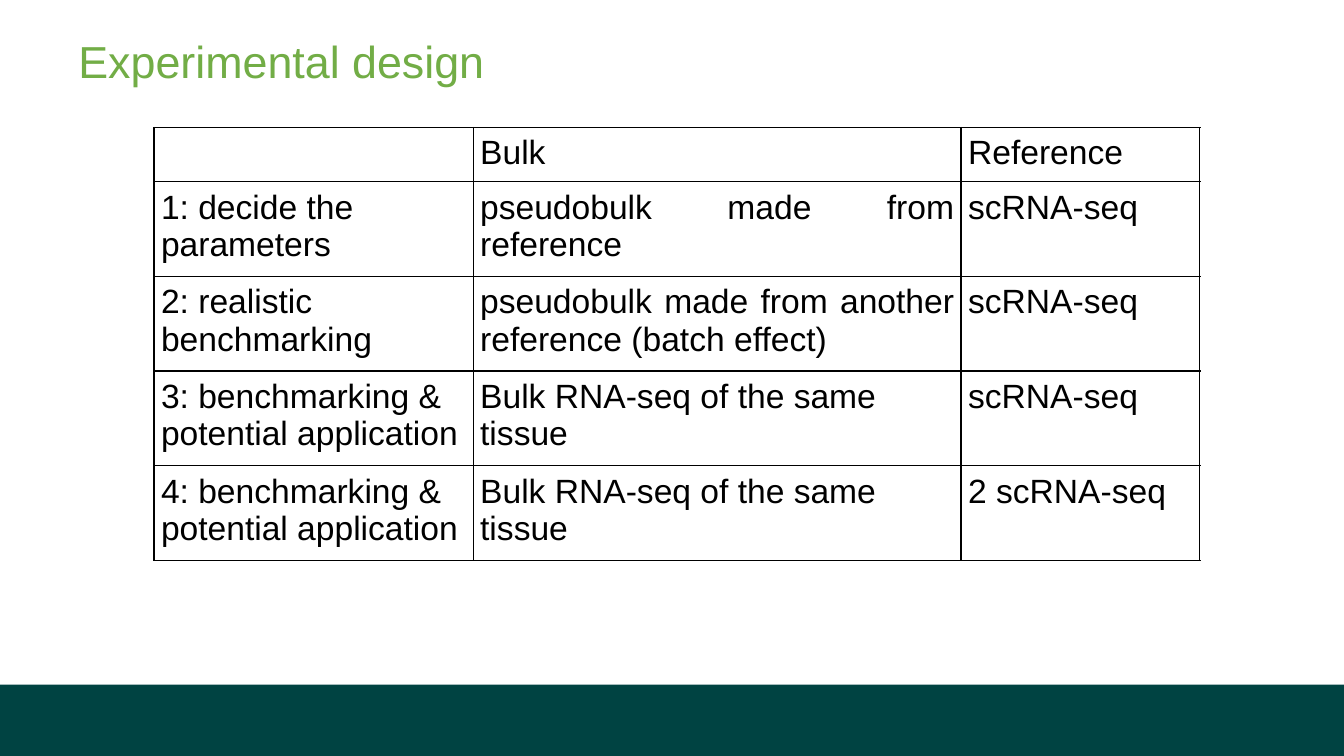
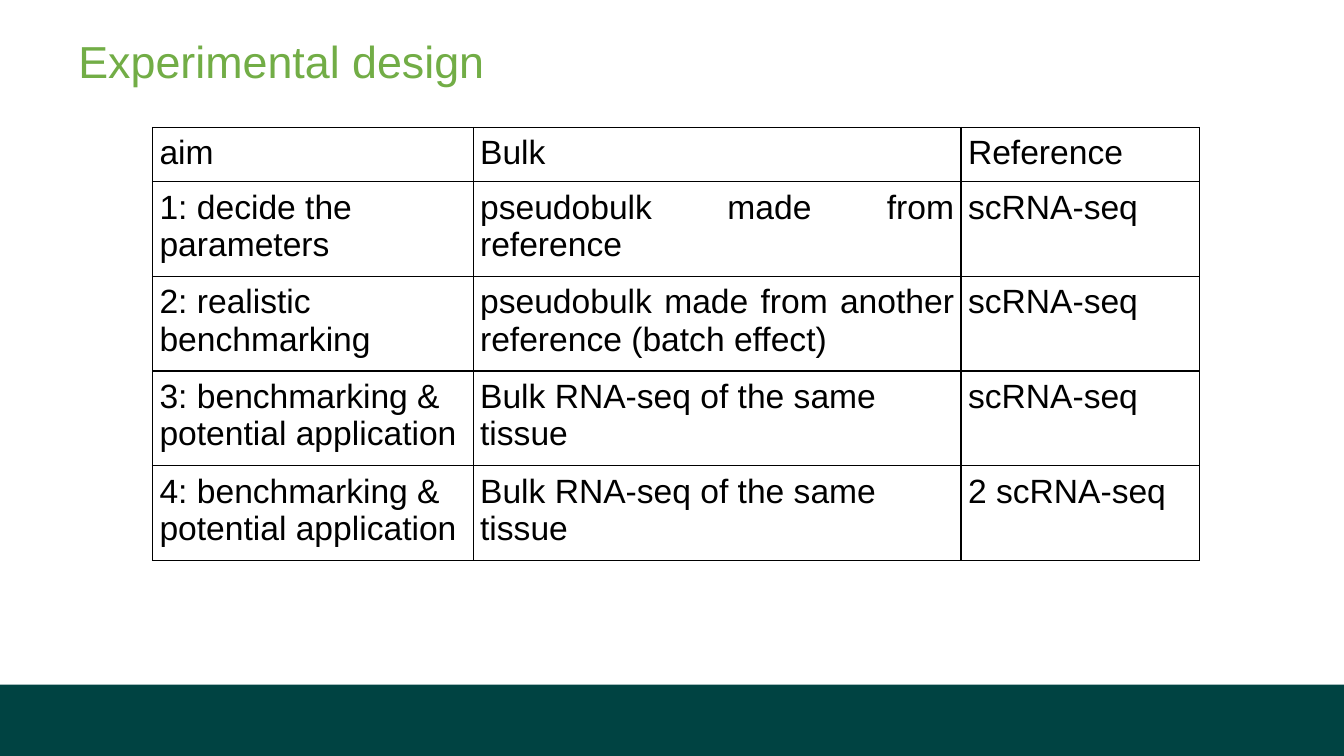
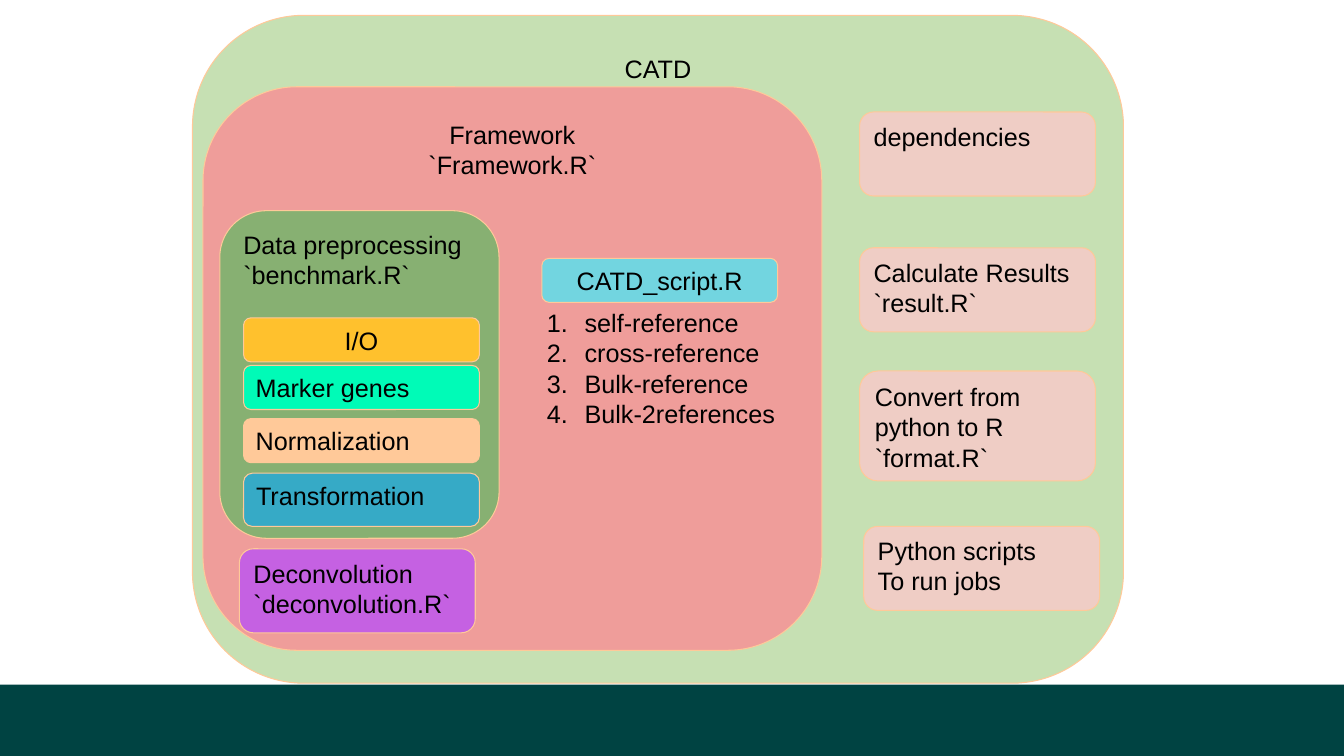
"""Build the three slides on the experimental design and the CATD framework."""
from lxml import etree
from pptx import Presentation
from pptx.dml.color import RGBColor
from pptx.enum import shapes, text
from pptx.oxml import ns
from pptx.util import Pt

SLIDE_WIDTH, SLIDE_HEIGHT = 960, 540
BAND_TOP = 489
FONT = "Arial"

BLACK = RGBColor(0x00, 0x00, 0x00)
DARK_TEAL = RGBColor(0x00, 0x43, 0x42)
TITLE_GREEN = RGBColor(0x72, 0xAD, 0x46)
PALE_GREEN = RGBColor(0xC6, 0xE0, 0xB3)
LEAF_GREEN = RGBColor(0x87, 0xB0, 0x72)
MINT = RGBColor(0x00, 0xFB, 0xB7)
CORAL = RGBColor(0xFF, 0x84, 0x91)
PINK = RGBColor(0xFF, 0xC6, 0xCC)
PEACH = RGBColor(0xFF, 0xC9, 0x99)
AMBER = RGBColor(0xFF, 0xC1, 0x2D)
BLUE = RGBColor(0x36, 0xAA, 0xC6)
AQUA = RGBColor(0x72, 0xD5, 0xE0)
PURPLE = RGBColor(0xB6, 0x4B, 0xFF)

LEFT, CENTER, JUSTIFY = text.PP_ALIGN.LEFT, text.PP_ALIGN.CENTER, text.PP_ALIGN.JUSTIFY

CELL_INSET = 5
BULK_LEFT, TABLE_TOP = 338, 91
BULK_WIDTH, REFERENCE_WIDTH = 348.5, 170.6
HEADER_HEIGHT, ROW_HEIGHT = 36.4, 63.6
DESIGN_ROWS = [
    ("1: decide the parameters", "pseudobulk made from reference", "scRNA-seq"),
    ("2: realistic benchmarking",
     "pseudobulk made from another reference (batch effect)", "scRNA-seq"),
    ("3: benchmarking & potential application",
     "Bulk RNA-seq of the same tissue", "scRNA-seq"),
    ("4: benchmarking & potential application",
     "Bulk RNA-seq of the same tissue", "2 scRNA-seq"),
]

MODULE_LEFT, MODULE_WIDTH, MODULE_HEIGHT = 174, 168.5, 31.5
MODULES = [
    ("I/O", 227, MODULE_HEIGHT, AMBER, CENTER),
    ("Marker genes", 261, MODULE_HEIGHT, MINT, LEFT),
    ("Normalization", 299, MODULE_HEIGHT, PEACH, LEFT),
    ("Transformation", 338, 38, BLUE, LEFT),
]

HELPER_HEIGHT = 60
HELPERS = [
    ("dependencies", 614, 80, HELPER_HEIGHT),
    ("Calculate Results\n`result.R`", 614, 177, HELPER_HEIGHT),
    ("Convert from python to R\n`format.R`", 614, 265, 78.5),
    ("Python scripts\nTo run jobs", 617, 376, HELPER_HEIGHT),
]


def write(frame, content, size=18, color=BLACK, align=LEFT, inset=None, number_indent=0):
    """Fill a text frame with one paragraph per line of content."""
    frame.word_wrap = True
    frame.vertical_anchor = text.MSO_ANCHOR.TOP
    if inset is not None:
        frame.margin_left = frame.margin_right = Pt(inset)
        frame.margin_top = frame.margin_bottom = Pt(inset)
    for index, line in enumerate(content.split("\n")):
        paragraph = frame.add_paragraph() if index else frame.paragraphs[0]
        paragraph.alignment = align
        if number_indent:
            properties = paragraph._p.get_or_add_pPr()
            properties.set("marL", str(Pt(number_indent)))
            properties.set("indent", str(-Pt(number_indent)))
            etree.SubElement(properties, ns.qn("a:buFont"), typeface=FONT)
            etree.SubElement(properties, ns.qn("a:buAutoNum"), type="arabicPeriod")
        run = paragraph.add_run()
        run.text = line
        run.font.name = FONT
        run.font.size = Pt(size)
        run.font.color.rgb = color


def add_text(slide, content, left, top, width, height, **style):
    """Add a text box."""
    box = slide.shapes.add_textbox(Pt(left), Pt(top), Pt(width), Pt(height))
    write(box.text_frame, content, **style)


def add_block(slide, left, top, width, height, fill,
              kind=shapes.MSO_SHAPE.ROUNDED_RECTANGLE, line=PEACH, opacity=100):
    """Add a filled shape and return it."""
    block = slide.shapes.add_shape(kind, Pt(left), Pt(top), Pt(width), Pt(height))
    block.shadow.inherit = False
    block.fill.solid()
    block.fill.fore_color.rgb = fill
    if opacity < 100:
        tint = block._element.spPr.find(ns.qn("a:solidFill"))[0]
        etree.SubElement(tint, ns.qn("a:alpha"), val=str(opacity * 1000))
    if line is None:
        block.line.fill.background()
    else:
        block.line.color.rgb = line
        block.line.width = Pt(0.75)
    return block


def add_panel(slide, content, left, top, width, height, fill, align=LEFT, opacity=100):
    """Add a rounded panel with its text."""
    panel = add_block(slide, left, top, width, height, fill, opacity=opacity)
    write(panel.text_frame, content, align=align)


def add_slide(deck):
    """Add a blank slide with the footer band."""
    slide = deck.slides.add_slide(deck.slide_layouts[6])
    add_block(slide, 0, BAND_TOP, SLIDE_WIDTH, SLIDE_HEIGHT - BAND_TOP, DARK_TEAL,
              kind=shapes.MSO_SHAPE.RECTANGLE, line=None)
    return slide


def add_title(slide, content):
    """Add the slide title."""
    add_text(slide, content, 56, 24, 856, 60, size=32, color=TITLE_GREEN, inset=0)


def outline_cell(cell):
    """Draw a thin black border round a cell without fill."""
    properties = cell._tc.get_or_add_tcPr()
    for side in ("lnL", "lnR", "lnT", "lnB"):
        border = etree.SubElement(properties, ns.qn(f"a:{side}"), w=str(Pt(1)))
        paint = etree.SubElement(border, ns.qn("a:solidFill"))
        etree.SubElement(paint, ns.qn("a:srgbClr"), val=str(BLACK))
    cell.fill.background()


def add_design_table(slide, aim_heading, aim_width):
    """Add the table of experiments."""
    rows = [(aim_heading, "Bulk", "Reference"), *DESIGN_ROWS]
    widths = [aim_width, BULK_WIDTH, REFERENCE_WIDTH]
    heights = [HEADER_HEIGHT] + [ROW_HEIGHT] * len(DESIGN_ROWS)
    table = slide.shapes.add_table(
        len(rows), len(widths), Pt(BULK_LEFT - aim_width), Pt(TABLE_TOP),
        Pt(sum(widths)), Pt(sum(heights))).table
    table.first_row = table.horz_banding = False
    for column, width in zip(table.columns, widths):
        column.width = Pt(width)
    for row, height, entries in zip(table.rows, heights, rows):
        row.height = Pt(height)
        for cell, entry in zip(row.cells, entries):
            outline_cell(cell)
            cell.margin_left = cell.margin_right = Pt(CELL_INSET)
            cell.margin_top = cell.margin_bottom = Pt(CELL_INSET)
            if entry:
                align = JUSTIFY if entry.startswith("pseudobulk") else LEFT
                write(cell.text_frame, entry, size=24, align=align)


def add_design_slide(deck, aim_heading, aim_width):
    """Add a slide with the table of experiments."""
    slide = add_slide(deck)
    add_title(slide, "Experimental design")
    add_design_table(slide, aim_heading, aim_width)


def add_framework_slide(deck):
    """Add the diagram of the CATD framework."""
    slide = add_slide(deck)
    add_panel(slide, "CATD", 137.5, 11, 665, 477, PALE_GREEN, align=CENTER)
    add_panel(slide, "Framework\n`Framework.R`", 145, 62, 442, 402.5, CORAL,
              align=CENTER, opacity=72)
    add_panel(slide, "Data preprocessing\n`benchmark.R`", 157, 150.5, 199.5, 234, LEAF_GREEN)
    for name, top, height, fill, align in MODULES:
        add_panel(slide, name, MODULE_LEFT, top, MODULE_WIDTH, height, fill, align=align)
    add_panel(slide, "Deconvolution\n`deconvolution.R`", 171, 392, MODULE_WIDTH,
              HELPER_HEIGHT, PURPLE, opacity=72)
    add_text(slide, "self-reference\ncross-reference\nBulk-reference\nBulk-2references",
             383.5, 216, 191, 94.5, number_indent=27)
    add_panel(slide, "CATD_script.R", 387, 184.5, MODULE_WIDTH, MODULE_HEIGHT, AQUA,
              align=CENTER)
    for name, left, top, height in HELPERS:
        add_panel(slide, name, left, top, MODULE_WIDTH, height, PINK, opacity=72)


def main():
    """Build and save the presentation."""
    deck = Presentation()
    deck.slide_width, deck.slide_height = Pt(SLIDE_WIDTH), Pt(SLIDE_HEIGHT)
    add_design_slide(deck, "", 228)
    add_design_slide(deck, "aim", 229)
    add_framework_slide(deck)
    deck.save("out.pptx")


if __name__ == "__main__":
    main()
